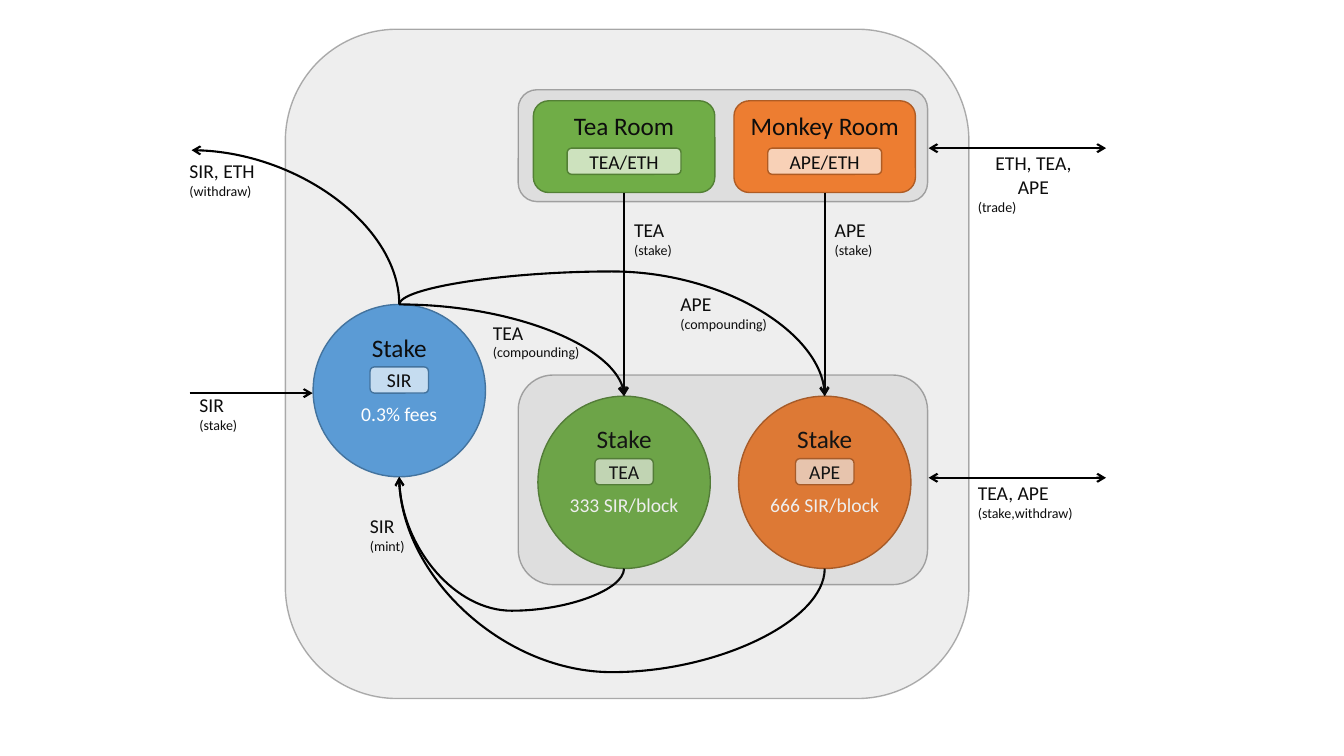
from lxml import etree
from pptx import Presentation
from pptx.dml.color import RGBColor
from pptx.enum import shapes as sh, text as tx
from pptx.oxml.ns import qn
from pptx.util import Inches, Pt

HUES = {
    "ink": "0D0D0D", "black": "000000", "white": "FFFFFF", "gray": "595959",
    "green": "70AD47", "moss": "538035", "orange": "ED7D31", "rust": "AF5C24",
    "blue": "5B9BD5", "navy": "43739E",
}
KIND = sh.MSO_SHAPE
LEFT, MID = tx.PP_ALIGN.LEFT, tx.PP_ALIGN.CENTER
SIR_X, TEA_X, APE_X = 3.96, 6.19, 8.18   # centre of each column
SIR_TOP, POOL_TOP, DISK = 3.02, 3.93, 1.71
ROOM_END = 1.91


def rgb(name):
    return RGBColor.from_string(HUES[name])


def fade(fill, pct):
    """Make a solid fill partly transparent."""
    hue = fill._xPr.find(".//" + qn("a:srgbClr"))
    etree.SubElement(hue, qn("a:alpha"), val=str(pct * 1000))


def write(frame, words, size=14, color="ink", align=MID, before=0):
    """Fill the empty first paragraph, or add one below the text."""
    para = frame.paragraphs[0] if not frame.text else frame.add_paragraph()
    para.alignment = align
    para.space_before = Pt(before)
    run = para.add_run()
    run.text = words
    run.font.size = Pt(size)
    run.font.name = "Calibri"
    run.font.color.rgb = rgb(color)


def block(slide, kind, box, fill, edge, alpha=None, dim=None):
    item = slide.shapes.add_shape(kind, *map(Inches, box))
    item.shadow.inherit = False
    item.fill.solid()
    item.fill.fore_color.rgb = rgb(fill)
    item.line.color.rgb = rgb(edge)
    item.line.width = Pt(1)
    if alpha:
        fade(item.fill, alpha)
    if dim:
        fade(item.line.fill, dim)
    return item


def panel(slide, *box):
    block(slide, KIND.FLOWCHART_ALTERNATE_PROCESS, box, "gray", "black", 10, 30)


def inset(frame, base=0):
    frame.margin_left = frame.margin_right = frame.margin_top = 0
    frame.margin_bottom = Inches(base)
    frame.vertical_anchor = tx.MSO_ANCHOR.MIDDLE


def badge(slide, mid, top, width, words, edge):
    box = (mid - width / 2, top, width, 0.26)
    item = block(slide, KIND.ROUNDED_RECTANGLE, box, "white", edge, 65)
    inset(item.text_frame)
    write(item.text_frame, words)


def room(slide, mid, title, pair, fill, edge):
    box = (mid - 0.9, 1, 1.8, 0.91)
    item = block(slide, KIND.FLOWCHART_ALTERNATE_PROCESS, box, fill, edge)
    item.text_frame.vertical_anchor = tx.MSO_ANCHOR.TOP
    write(item.text_frame, title, size=18)
    badge(slide, mid, 1.47, 1.13, pair, edge)


def disk(slide, mid, top, coin, rate, fill, edge):
    box = (mid - DISK / 2, top, DISK, DISK)
    item = block(slide, KIND.OVAL, box, fill, edge)
    inset(item.text_frame, base=0.24)
    write(item.text_frame, "Stake", size=18)
    write(item.text_frame, rate, color="white", before=28)
    badge(slide, mid, top + 0.62, 0.58, coin, edge)


def label(slide, left, top, width, coin, act, wrap=False):
    box = slide.shapes.add_textbox(*map(Inches, (left, top, width, 0.5)))
    frame = box.text_frame
    frame.word_wrap = wrap
    frame.auto_size = tx.MSO_AUTO_SIZE.SHAPE_TO_FIT_TEXT
    write(frame, coin, align=MID if wrap else LEFT)
    write(frame, act, size=10, align=LEFT)


def style(link, ends):
    """Black line with open arrowheads at the named ends."""
    link.line.color.rgb = rgb("black")
    link.line.width = Pt(1.5)
    for end in ends:
        etree.SubElement(link.line._ln, qn(f"a:{end}End"), type="arrow")
    etree.SubElement(link._element.spPr, qn("a:effectLst"))


def arrow(slide, start, stop, ends=("tail",)):
    link = slide.shapes.add_connector(
        sh.MSO_CONNECTOR.STRAIGHT, *map(Inches, start + stop))
    style(link, ends)


def curve(slide, start, stop, turn=0, flip=None, bend=None):
    """Curved arrow; a turned one has its box rotated about the middle."""
    (x1, y1), (x2, y2) = start, stop
    wide, high = abs(x2 - x1), abs(y2 - y1)
    if turn:
        wide, high = high, wide
    left, top = (x1 + x2 - wide) / 2, (y1 + y2 - high) / 2
    link = slide.shapes.add_connector(
        sh.MSO_CONNECTOR.CURVE,
        *map(Inches, (left, top, left + wide, top + high)))
    frame = link._element.spPr.find(qn("a:xfrm"))
    if turn:
        frame.set("rot", str(turn * 60000))
    if flip:
        frame.set("flip" + flip, "1")
    geom = link._element.spPr.find(qn("a:prstGeom"))
    if bend is None:
        geom.set("prst", "curvedConnector2")
    else:
        guides = geom.find(qn("a:avLst"))
        etree.SubElement(guides, qn("a:gd"), name="adj1",
                         fmla=f"val {round(bend * 100000)}")
    style(link, ("tail",))


def main():
    deck = Presentation()
    deck.slide_width, deck.slide_height = Inches(13.33), Inches(7.5)
    slide = deck.slides.add_slide(deck.slide_layouts[6])

    # Rooms inside the system
    panel(slide, 2.83, 0.29, 6.78, 6.64)
    panel(slide, 5.14, 0.89, 4.06, 1.11)
    room(slide, TEA_X, "Tea Room", "TEA/ETH", "green", "moss")
    room(slide, APE_X, "Monkey Room", "APE/ETH", "orange", "rust")

    # Staking pools
    disk(slide, SIR_X, SIR_TOP, "SIR", "0.3% fees", "blue", "navy")
    disk(slide, APE_X, POOL_TOP, "APE", "666 SIR/block", "orange", "rust")
    disk(slide, TEA_X, POOL_TOP, "TEA", "333 SIR/block", "green", "moss")

    # Flows from the rooms, and minting back to SIR
    top, base = (SIR_X, SIR_TOP), (SIR_X, SIR_TOP + DISK)
    for mid, coin, bend in ((TEA_X, "TEA", -0.46), (APE_X, "APE", -1.13)):
        arrow(slide, (mid, ROOM_END), (mid, POOL_TOP))
        label(slide, mid, 2.11, 0.58, coin, "(stake)")
        curve(slide, (mid, POOL_TOP + DISK), base, 90, "H", bend)
    label(slide, 3.57, 5.05, 0.55, "SIR", "(mint)")

    # Compounding and withdrawal
    curve(slide, top, (TEA_X, POOL_TOP))
    label(slide, 4.79, 3.13, 1.06, "TEA", "(compounding)")
    curve(slide, top, (APE_X, POOL_TOP), 270, "H", -0.36)
    label(slide, 6.65, 2.85, 1.06, "APE", "(compounding)")
    curve(slide, top, (1.9, 1.49), 270, "V")
    label(slide, 1.78, 1.53, 0.85, "SIR, ETH", "(withdraw)")

    # Exchange with the outside
    for y in (1.47, 4.74):
        arrow(slide, (10.97, y), (9.21, y), ("head", "tail"))
    label(slide, 9.6, 1.45, 1.3, "ETH, TEA, APE", "(trade)", wrap=True)
    label(slide, 9.6, 4.72, 1.16, "TEA, APE", "(stake,withdraw)")
    arrow(slide, (1.88, 3.9), (3.1, 3.9))
    label(slide, 1.88, 3.85, 0.58, "SIR", "(stake)")

    # Tinted panel over the two pools
    panel(slide, 5.14, 3.72, 4.06, 2.08)
    deck.save("out.pptx")


if __name__ == "__main__":
    main()
